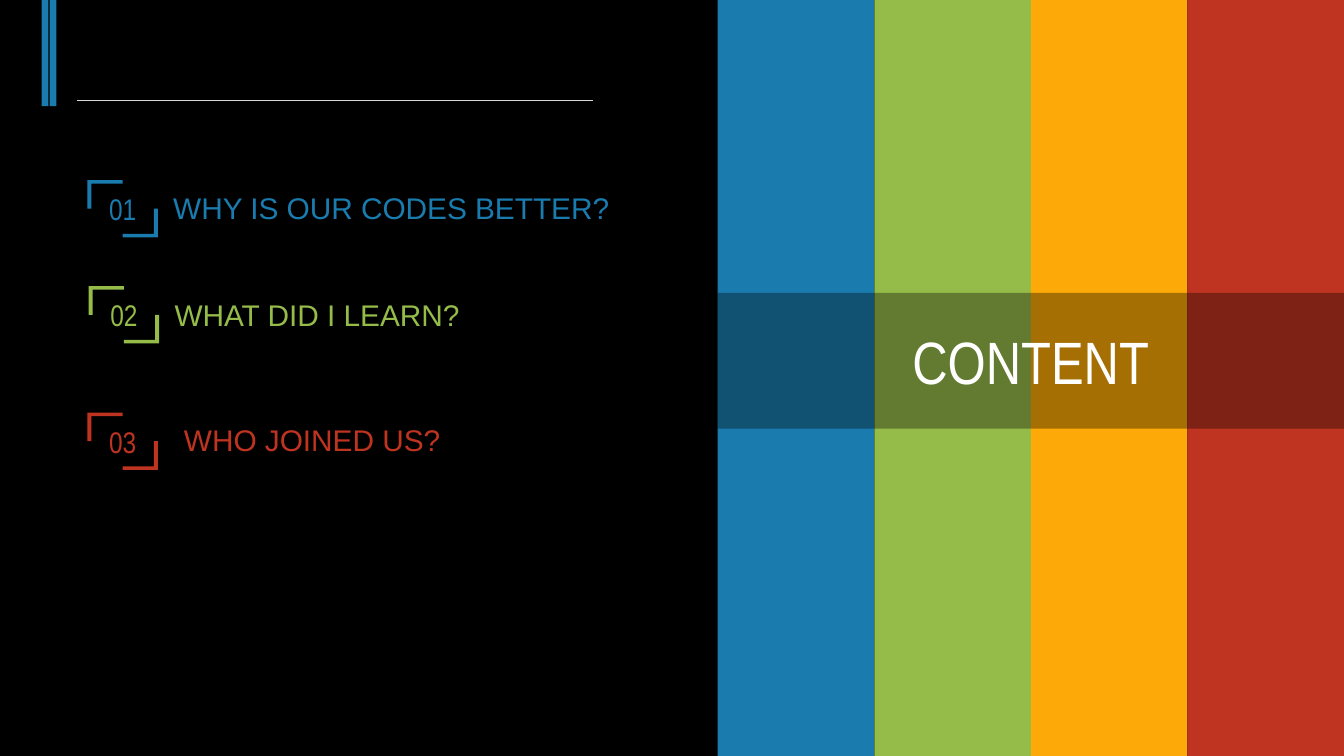
import dataclasses

import pptx
import pptx.dml.color
import pptx.enum.shapes
import pptx.enum.text
import pptx.oxml.ns
import pptx.util
from lxml import etree

Inches = pptx.util.Inches
Pt = pptx.util.Pt
RGB = pptx.dml.color.RGBColor
Shape = pptx.enum.shapes.MSO_SHAPE
Anchor = pptx.enum.text.MSO_ANCHOR
Align = pptx.enum.text.PP_ALIGN
qn = pptx.oxml.ns.qn

BLACK = RGB(0, 0, 0)
WHITE = RGB(255, 255, 255)
GREY = RGB(0xD9, 0xD9, 0xD9)
BLUE = RGB(0x1A, 0x7B, 0xAE)
GREEN = RGB(0x95, 0xBC, 0x49)
AMBER = RGB(0xFD, 0xA9, 0x07)
RED = RGB(0xBF, 0x34, 0x20)

WIDE = 10
HIGH = WIDE * 9 / 16
LEFT = 5.34
STEP = (WIDE - LEFT) / 4

# Corner outlines in thousandths of an inch from the badge's top left
CORNERS = (
    ((495, 213), (525, 213), (525, 426), (263, 426), (263, 400), (495, 400)),
    ((0, 0), (263, 0), (263, 26), (30, 26), (30, 213), (0, 213)),
)


@dataclasses.dataclass
class Item:
    num: str
    label: str
    color: RGB
    left: float
    top: float
    text_left: float
    text_top: float


ITEMS = (
    Item("01", "WHY IS OUR CODES BETTER?", BLUE, 0.65, 1.34, 1.19, 1.36),
    Item("02", "WHAT DID I LEARN?", GREEN, 0.66, 2.13, 1.2, 2.16),
    Item("03", "WHO JOINED US?", RED, 0.65, 3.07, 1.27, 3.09),
)


def paint(shape, color: RGB) -> None:
    shape.shadow.inherit = False
    shape.fill.solid()
    shape.fill.fore_color.rgb = color
    shape.line.fill.background()


def write(shape, text: str, size: int, font: str, color: RGB) -> None:
    para = shape.text_frame.paragraphs[0]
    para.text = text
    face = para.runs[0].font
    face.size = Pt(size)
    face.name = font
    face.color.rgb = color


def center(shape) -> None:
    shape.text_frame.vertical_anchor = Anchor.MIDDLE
    shape.text_frame.paragraphs[0].alignment = Align.CENTER


def add_bar(slide, left: float, top: float, width: float, height: float, color: RGB):
    bar = slide.shapes.add_shape(
        Shape.RECTANGLE, Inches(left), Inches(top), Inches(width), Inches(height)
    )
    paint(bar, color)
    return bar


def add_rule(slide) -> None:
    rule = slide.shapes.add_connector(
        pptx.enum.shapes.MSO_CONNECTOR.STRAIGHT,
        Inches(0.57), Inches(0.75), Inches(4.41), Inches(0.75),
    )
    rule.line.color.rgb = GREY
    rule.line.width = Pt(0.75)
    etree.SubElement(rule._element.spPr, qn("a:effectLst"))


def add_item(slide, item: Item) -> None:
    """Draw a label and its numbered badge of two corner brackets."""
    label = slide.shapes.add_textbox(
        Inches(item.text_left), Inches(item.text_top), Inches(3.98), Inches(0.37)
    )
    label.text_frame.word_wrap = True
    label.text_frame.auto_size = pptx.enum.text.MSO_AUTO_SIZE.SHAPE_TO_FIT_TEXT
    write(label, item.label, 16, "Arial", item.color)

    first, second = CORNERS
    pen = slide.shapes.build_freeform(*first[0], scale=Inches(1) / 1000)
    pen.add_line_segments(first[1:], close=True)
    pen.move_to(*second[0])
    pen.add_line_segments(second[1:], close=True)
    badge = pen.convert_to_shape(Inches(item.left), Inches(item.top))
    paint(badge, item.color)
    write(badge, item.num, 16, "Arial Narrow", item.color)
    center(badge)


def add_panel(slide) -> None:
    """Draw the colour stripes and the see-through title band."""
    for i, color in enumerate((BLUE, GREEN, AMBER, RED)):
        add_bar(slide, LEFT + i * STEP, 0, STEP, HIGH, color)
    band = add_bar(slide, LEFT, 2.18, WIDE - LEFT, 1.01, BLACK)
    tint = band._element.spPr.find(qn("a:solidFill")).find(qn("a:srgbClr"))
    etree.SubElement(tint, qn("a:alpha")).set("val", "34000")
    write(band, "CONTENT", 32, "Arial Narrow", WHITE)
    center(band)


def main() -> None:
    deck = pptx.Presentation()
    deck.slide_width = Inches(WIDE)
    deck.slide_height = Inches(HIGH)
    slide = deck.slides.add_slide(deck.slide_layouts[6])
    slide.background.fill.solid()
    slide.background.fill.fore_color.rgb = BLACK

    for left in (0.31, 0.37):
        add_bar(slide, left, 0, 0.05, 0.79, BLUE)
    add_rule(slide)
    for item in ITEMS:
        add_item(slide, item)
    add_panel(slide)
    deck.save("out.pptx")


if __name__ == "__main__":
    main()
